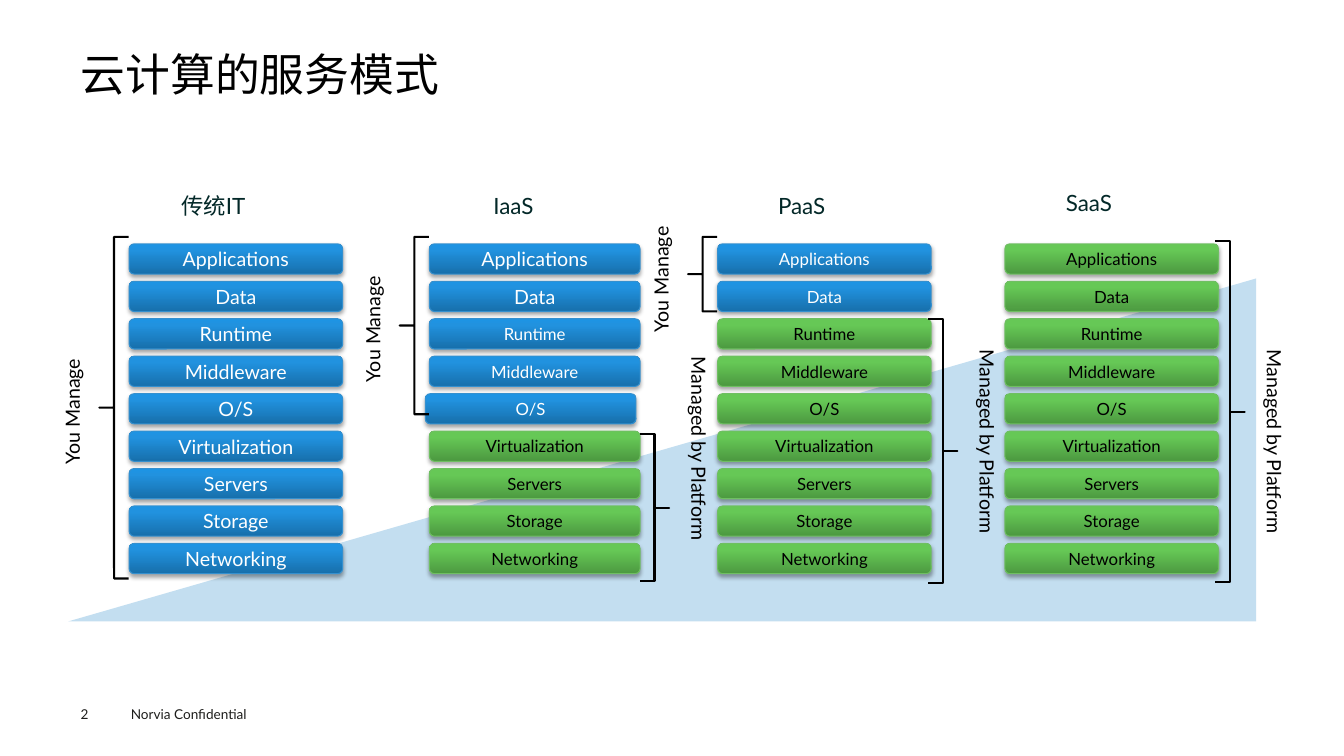
from lxml.etree import SubElement
from pptx import Presentation
from pptx.dml.color import RGBColor
from pptx.enum.shapes import MSO_SHAPE
from pptx.enum.text import MSO_ANCHOR, MSO_AUTO_SIZE, PP_ALIGN
from pptx.oxml import parse_xml
from pptx.oxml.ns import nsdecls, qn
from pptx.util import Pt

COLORS = {"black": "000000", "white": "FFFFFF", "heading": "032828",
          "footer": "1D1D1B", "wedge": "3993D0",
          "blue_line": "3490CF", "green_line": "6FBF62"}
GRADIENTS = {"blue": ((0, "176FAB"), (80, "2192DF"), (100, "1D94E4")),
             "green": ((0, "4C9940"), (80, "66C856"), (100, "64CB55"))}
LAYERS = ("Applications", "Data", "Runtime", "Middleware", "O/S",
          "Virtualization", "Servers", "Storage", "Networking")
COLUMN_TOP, COLUMN_HEIGHT = 120.2, 293
FRAME_WIDTH, FRAME_OFFSET = 235.4, 52.6
FIRST_BAR, BAR_PITCH, BAR_HEIGHT = 54, 26.75, 21.6
SIDES = {
    "left": {"text": "You Manage", "vert": "vert270", "brace": -21.2,
             "label": -52.6, "length": 88.6},
    "right": {"text": "Managed by Platform", "vert": "eaVert", "brace": 150.4,
              "label": 173, "length": 147.6},
}
COLUMNS = (
    {"heading": "传统IT", "left": 92.2, "width": 152.6, "inset": 17,
     "own": 9, "large": 9, "shifts": {},
     "braces": (("left", 49, 244, 130.3),)},
    {"heading": "IaaS", "left": 306.7, "width": 150.5, "inset": 17,
     "own": 5, "large": 2, "shifts": {"O/S": -2.9},
     "braces": (("left", 49, 126.7, 71.3), ("right", 190, 105, 127.4))},
    {"heading": "PaaS", "left": 512.6, "width": 152.6, "inset": 17,
     "own": 2, "large": 0, "shifts": {},
     "braces": (("left", 49, 53.3, 36), ("right", 108, 188, 122.4))},
    {"heading": "SaaS", "left": 717.8, "width": 152.6, "inset": 15,
     "own": 0, "large": 0, "shifts": {},
     "braces": (("right", 51.8, 244, 122.4),)},
)


def write(shape, text, size, color, frame_format=None, para_format=None):
    """Write one line of formatted text into a shape and return its paragraph."""
    frame = shape.text_frame
    for name, value in (frame_format or {}).items():
        setattr(frame, name, value)
    para = frame.paragraphs[0]
    for name, value in (para_format or {}).items():
        setattr(para, name, value)
    span = para.add_run()
    span.text = text
    for name, value in {"name": "Lato", "size": Pt(size)}.items():
        setattr(span.font, name, value)
    span.font.color.rgb = RGBColor.from_string(COLORS[color])
    return para


def add_box(page, left, top, width, height, kind=None):
    """Add a text box, or a shadowless preset shape when a kind is given."""
    place = [Pt(value) for value in (left, top, width, height)]
    if kind is None:
        return page.shapes.add_textbox(*place)
    shape = page.shapes.add_shape(kind, *place)
    shape.shadow.inherit = False
    return shape


def flip(shape):
    """Mirror a shape from left to right."""
    shape.element.spPr.find(qn("a:xfrm")).set("flipH", "1")


def add_wedge(page, left, top, width, height):
    """Draw the pale triangle that rises to the right."""
    wedge = add_box(page, left, top, width, height, MSO_SHAPE.RIGHT_TRIANGLE)
    flip(wedge)
    wedge.fill.solid()
    wedge.fill.fore_color.rgb = RGBColor.from_string(COLORS["wedge"])
    color = wedge.element.spPr.find(qn("a:solidFill")).find(qn("a:srgbClr"))
    SubElement(color, qn("a:alpha")).set("val", "30000")
    wedge.line.fill.background()


def add_bar(page, left, top, width, height, text, size, tone):
    """Draw one layer as a rounded bar with a gradient and a soft shadow."""
    bar = add_box(page, left, top, width, height, MSO_SHAPE.ROUNDED_RECTANGLE)
    bar.line.color.rgb = RGBColor.from_string(COLORS[tone + "_line"])
    bar.line.width = Pt(0.75)
    stops = "".join(f'<a:gs pos="{place * 1000}"><a:srgbClr val="{color}"/></a:gs>'
                    for place, color in GRADIENTS[tone])
    properties = bar.element.spPr
    properties.find(qn("a:prstGeom")).addnext(parse_xml(
        f'<a:gradFill {nsdecls("a")} rotWithShape="1"><a:gsLst>{stops}</a:gsLst>'
        '<a:lin ang="16200000" scaled="0"/></a:gradFill>'))
    properties.find(qn("a:effectLst")).append(parse_xml(
        f'<a:outerShdw {nsdecls("a")} blurRad="{Pt(3.1)}" dist="{Pt(1.8)}" '
        'dir="5400000" rotWithShape="0"><a:srgbClr val="000000">'
        '<a:alpha val="35000"/></a:srgbClr></a:outerShdw>'))
    write(bar, text, size, "white" if tone == "blue" else "black",
          {"vertical_anchor": MSO_ANCHOR.MIDDLE, "word_wrap": True},
          {"alignment": PP_ALIGN.CENTER})


def add_brace(page, left, top, height, label_top, side):
    """Draw a square brace beside a column, with its upright label."""
    rule = SIDES[side]
    brace = add_box(page, left + rule["brace"], top, 20.9, height, MSO_SHAPE.LEFT_BRACE)
    brace.adjustments[0] = 0
    brace.adjustments[1] = 0.5
    brace.fill.background()
    brace.line.color.rgb = RGBColor.from_string(COLORS["black"])
    brace.line.width = Pt(1.5)
    if side == "right":
        flip(brace)
    label = add_box(page, left + rule["label"], label_top, 31.7, rule["length"])
    label.text_frame._txBody.bodyPr.set("vert", rule["vert"])
    write(label, rule["text"], 14, "black",
          {"word_wrap": False, "auto_size": MSO_AUTO_SIZE.SHAPE_TO_FIT_TEXT})


def add_column(page, column, top, height):
    """Draw one service model: heading, nine layers and braces."""
    left = column["left"]
    frame = add_box(page, left - FRAME_OFFSET, top, FRAME_WIDTH, height)
    para = write(frame, column["heading"], 16, "heading",
                 {"word_wrap": True, "margin_top": Pt(column["inset"])},
                 {"alignment": PP_ALIGN.CENTER})
    para._p.get_or_add_pPr().set("marR", str(Pt(10)))
    for row, layer in enumerate(LAYERS):
        add_bar(page, left + column["shifts"].get(layer, 0),
                top + FIRST_BAR + row * BAR_PITCH, column["width"], BAR_HEIGHT,
                layer, 14 if row < column["large"] else 12,
                "blue" if row < column["own"] else "green")
    for side, brace_top, brace_height, label_top in column["braces"]:
        add_brace(page, left, top + brace_top, brace_height, top + label_top, side)


def add_title(page, left, top, width, height):
    """Write the slide title."""
    title = add_box(page, left, top, width, height)
    write(title, "云计算的服务模式", 32, "black",
          {"margin_left": 0, "margin_right": 0, "margin_top": 0, "margin_bottom": 0,
           "word_wrap": True, "vertical_anchor": MSO_ANCHOR.MIDDLE},
          {"line_spacing": 0.9})


def add_footer(page, left, top):
    """Write the page number and the confidentiality note."""
    note = add_box(page, left + 28.8, top, 115.2, 19.4)
    write(note, "Norvia Confidential", 9.7, "footer", {"word_wrap": True})
    number = add_box(page, left, top + 3.6, 39.6, 11.5)
    write(number, "2", 9.7, "footer",
          {"margin_left": 0, "margin_right": 0, "margin_top": 0,
           "margin_bottom": 0, "word_wrap": True})


def main():
    """Build the slide and save it."""
    deck = Presentation()
    deck.slide_width, deck.slide_height = Pt(960), Pt(540)
    page = deck.slides.add_slide(deck.slide_layouts[6])
    add_footer(page, 57.6, 500.4)
    add_title(page, 57.6, 35.3, 844.6, 38.9)
    add_wedge(page, 48.6, 198.9, 848.6, 245)
    for column in COLUMNS:
        add_column(page, column, COLUMN_TOP, COLUMN_HEIGHT)
    deck.save("out.pptx")


if __name__ == "__main__":
    main()
